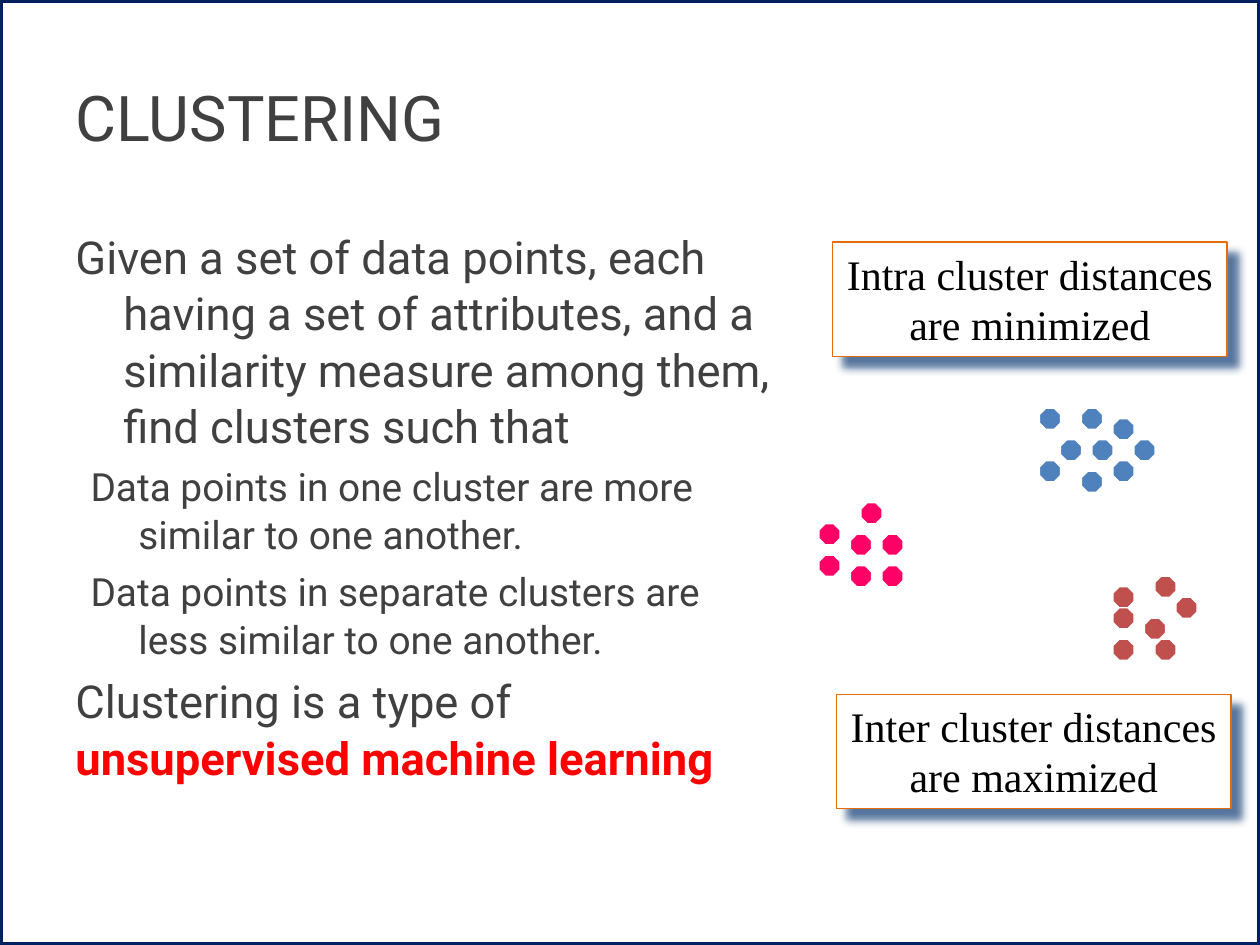
from lxml.etree import SubElement
from pptx import Presentation
from pptx.dml.color import RGBColor
from pptx.enum.shapes import MSO_SHAPE
from pptx.enum.text import MSO_ANCHOR, PP_ALIGN
from pptx.oxml.ns import qn
from pptx.util import Inches, Pt

THEME = {
    "ink": "404040", "black": "000000", "alert": "FF0000", "paper": "FFFFFF",
    "frame": "002060", "box": "E46C0A", "shade": "1F497D",
    "sans": "Roboto", "serif": "Times New Roman",
    "title": 36, "main": 25.9, "sub": 22.2, "label": 24,
}
TITLE = "CLUSTERING"
# size, left margin, first-line indent, runs of (text, colour, bold)
BODY = [
    ("main", 0.38, -0.38, [("Given a set of data points, each having a set of attributes, "
                            "and a similarity measure among them, find clusters such that",
                            "ink", False)]),
    ("sub", 0.5, -0.38, [("Data points in one cluster are more similar to one another.",
                          "ink", False)]),
    ("sub", 0.5, -0.38, [("Data points in separate clusters are less similar to one another.",
                          "ink", False)]),
    ("main", 0, 0, [("Clustering is a type of ", "ink", False),
                    ("unsupervised machine learning", "alert", True)]),
]
LABELS = [
    (6.61, 1.92, ["Intra cluster distances", "are minimized"]),
    (6.64, 5.51, ["Inter cluster distances", "are maximized"]),
]
# colour: (column, row) of each dot on a fine grid
CLUSTERS = {
    "4F81BD": [(23, 3), (26, 3), (25, 0), (25, 6), (30, 3), (28, 1), (21, 0), (28, 5), (21, 5)],
    "FF0066": [(0, 11), (3, 12), (3, 15), (6, 12), (4, 9), (6, 15), (0, 14)],
    "C0504D": [(28, 17), (34, 18), (31, 20), (28, 22), (32, 22), (28, 19), (32, 16)],
}
LEFT, TOP, STEP = 6.5, 3.24, 1 / 12
WIDE, HIGH = 10, 7.5


def color(name):
    return RGBColor.from_string(THEME.get(name, name))


def style(thing, **values):
    for key, value in values.items():
        setattr(thing, key, value)


def write(para, text, size, face, ink, bold=False):
    run = para.add_run()
    run.text = text
    style(run.font, size=Pt(THEME[size]), name=THEME[face], bold=bold)
    run.font.color.rgb = color(ink)


def draw(slide, kind, area, line, width, fill=None):
    shape = slide.shapes.add_shape(kind, *map(Inches, area))
    shape.shadow.inherit = False
    if fill:
        shape.fill.solid()
        shape.fill.fore_color.rgb = color(fill)
    else:
        shape.fill.background()
    shape.line.color.rgb = color(line)
    shape.line.width = Pt(width)
    return shape


def cast(shape):
    """Give the shape a soft shadow to the lower right."""
    effects = shape._element.spPr.find(qn("a:effectLst"))
    shade = SubElement(effects, qn("a:outerShdw"), blurRad=str(Pt(5)), dist=str(Pt(8.5)),
                       dir="2700000", algn="tl", rotWithShape="0")
    tint = SubElement(shade, qn("a:srgbClr"), val=THEME["shade"])
    SubElement(tint, qn("a:alpha"), val="75000")


def add_title(slide):
    title = slide.shapes.title
    style(title, left=Inches(0.5), top=Inches(0.3), width=Inches(9), height=Inches(1.25))
    title.text_frame.vertical_anchor = MSO_ANCHOR.MIDDLE
    para = title.text_frame.paragraphs[0]
    para.alignment = PP_ALIGN.LEFT
    write(para, TITLE, "title", "sans", "ink")


def add_body(slide):
    frame = slide.shapes.add_textbox(*map(Inches, (0.5, 1.75, 5.75, 4.95))).text_frame
    frame.word_wrap = True
    for i, (size, margin, indent, runs) in enumerate(BODY):
        para = frame.add_paragraph() if i else frame.paragraphs[0]
        props = para._p.get_or_add_pPr()
        props.set("marL", str(Inches(margin)))
        props.set("indent", str(Inches(indent)))
        style(para, line_spacing=1.04, space_before=Pt(0.2 * THEME[size] if i else 0))
        for text, ink, bold in runs:
            write(para, text, size, "sans", ink, bold)


def add_dots(slide):
    for fill, cells in CLUSTERS.items():
        for col, row in cells:
            area = LEFT + col * STEP, TOP + row * STEP, 2 * STEP, 2 * STEP
            draw(slide, MSO_SHAPE.OCTAGON, area, "paper", 0.75, fill)


def add_labels(slide):
    for left, top, lines in LABELS:
        box = draw(slide, MSO_SHAPE.RECTANGLE, (left, top, 3.13, 0.91), "box", 0.75, "paper")
        cast(box)
        frame = box.text_frame
        style(frame, word_wrap=False, vertical_anchor=MSO_ANCHOR.TOP)
        for i, text in enumerate(lines):
            para = frame.add_paragraph() if i else frame.paragraphs[0]
            para.alignment = PP_ALIGN.CENTER
            write(para, text, "label", "serif", "black")


def main():
    deck = Presentation()
    style(deck, slide_width=Inches(WIDE), slide_height=Inches(HIGH))
    slide = deck.slides.add_slide(deck.slide_layouts[5])
    draw(slide, MSO_SHAPE.RECTANGLE, (0, 0, WIDE, HIGH), "frame", 3.5)
    for add in (add_title, add_body, add_dots, add_labels):
        add(slide)
    deck.save("out.pptx")


if __name__ == "__main__":
    main()
